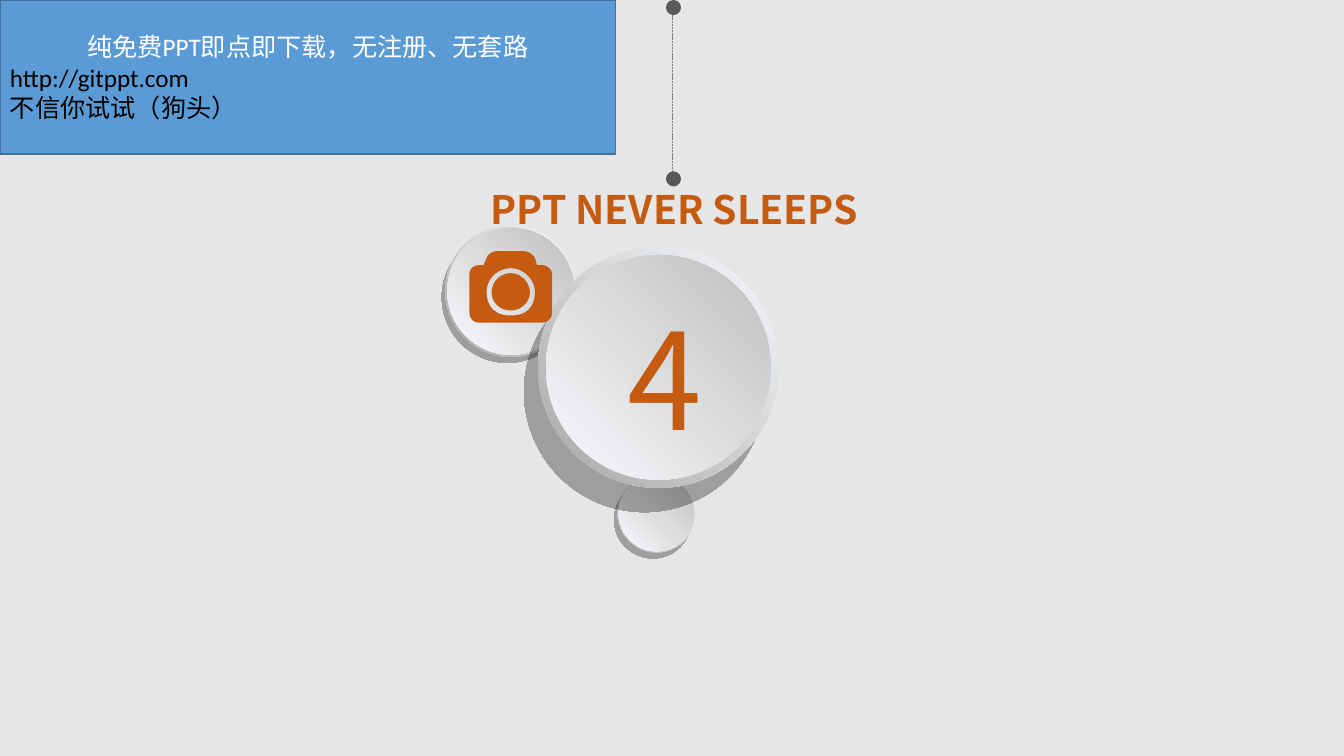
"""Build the section slide with three discs, a camera and a note box."""
from lxml import etree
from pptx import Presentation
from pptx import util as u
from pptx.dml.color import RGBColor
from pptx.enum import dml, shapes, text
from pptx.oxml.ns import qn

PX = 9144
SIZE = (1334, 750)
SANS, BODY = "Noto Sans CJK SC", "Calibri"
RUST, PALE, GREY, DOT, RULE = "C55A11", "F7FAFD", "E7E6E6", "595959", "7F7F7F"
TITLE = ("PPT NEVER SLEEPS", (477, 179, 397, 57))
NUMBER = ("4", (613, 289, 81, 170))
NOTE_BOX = (0, 0, 611, 153)
NOTE = [
    ("纯免费PPT即点即下载，无注册、无套路", "FFFFFF", text.PP_ALIGN.CENTER),
    ("http://gitppt.com", "000000", text.PP_ALIGN.LEFT),
    ("不信你试试（狗头）", "000000", text.PP_ALIGN.LEFT),
]
DISCS = {
    "camera": (442, 224, 130, 2, 5),
    "small": (613, 471, 77, 1, 5),
    "large": (534, 245, 239, 8, 20),
}
CORD = (667, 4, 667, 174)
DOTS = [(661, 0, 15, 15), (661, 170, 15, 15)]
CASE = [
    [(539, 320)],
    [(508, 320)],
    [(505, 320)],
    [(475, 320)],
    [(470, 320), (466, 316), (466, 311)],
    [(466, 271)],
    [(466, 267), (470, 263), (475, 263)],
    [(480, 263)],
    [(483, 256)],
    [(484, 252), (489, 249), (494, 249)],
    [(519, 249)],
    [(524, 249), (529, 252), (531, 256)],
    [(533, 263)],
    [(539, 263)],
    [(543, 263), (548, 267), (548, 272)],
    [(548, 311)],
    [(548, 316), (543, 320), (539, 320)],
]
RIM = [
    [(507, 266)],
    [(489, 267), (483, 281), (483, 289)],
    [(483, 297), (485, 313), (507, 313)],
    [(529, 313), (531, 297), (531, 289)],
    [(531, 281), (524, 267), (507, 266)],
]
LENS = [
    [(507, 308)],
    [(496, 308), (488, 300), (488, 290)],
    [(488, 280), (496, 271), (507, 271)],
    [(517, 271), (526, 280), (526, 290)],
    [(526, 300), (517, 308), (507, 308)],
]


def px(*nums):
    return [u.Emu(n * PX) for n in nums]


def rgb(code):
    return RGBColor.from_string(code)


def paint(fill, code):
    fill.solid()
    fill.fore_color.rgb = rgb(code)


def style(para, face, size, code, bold=False):
    for run in para.runs:
        font = run.font
        font.name, font.size, font.bold = face, u.Pt(size), bold
        font.color.rgb = rgb(code)


def label(shape, words, size, bold, wrap, align):
    frame = shape.text_frame
    frame.text = words
    frame.word_wrap = wrap
    frame.auto_size = text.MSO_AUTO_SIZE.SHAPE_TO_FIT_TEXT
    frame.vertical_anchor = text.MSO_ANCHOR.TOP
    frame.paragraphs[0].alignment = align
    style(frame.paragraphs[0], SANS, size, RUST, bold)


def oval(group, box):
    shape = group.shapes.add_shape(shapes.MSO_SHAPE.OVAL, *px(*box))
    shape.shadow.inherit = False
    shape.line.fill.background()
    return shape


def shade(shape, dist):
    node = shape.element.spPr.find(qn("a:effectLst"))
    cast = etree.SubElement(node, qn("a:outerShdw"), blurRad="0", dist=str(u.Pt(dist)),
                            dir=str(120 * 60000), algn="ctr", rotWithShape="0")
    tint = etree.SubElement(cast, qn("a:srgbClr"), val="000000")
    etree.SubElement(tint, qn("a:alpha"), val="31000")


def disc(slide, left, top, size, rim, dist):
    group = slide.shapes.add_group_shape()
    for inset, dark, angle in ((0, "A6A6A6", 225), (rim, "BFBFBF", 45)):
        side = size - 2 * inset
        shape = oval(group, (left + inset, top + inset, side, side))
        shape.fill.gradient()
        shape.fill.gradient_angle = angle
        for stop, code, place in zip(shape.fill.gradient_stops, (PALE, dark), (0, 1)):
            stop.color.rgb, stop.position = rgb(code), place
        if not inset:
            shade(shape, dist)
    return group


def hanger(slide):
    group = slide.shapes.add_group_shape()
    cord = group.shapes.add_connector(shapes.MSO_CONNECTOR.STRAIGHT, *px(*CORD))
    cord.line.color.rgb = rgb(RULE)
    cord.line.width = u.Pt(0.5)
    cord.line.dash_style = dml.MSO_LINE.SQUARE_DOT
    etree.SubElement(cord.element.spPr, qn("a:effectLst"))
    for box in DOTS:
        paint(oval(group, box).fill, DOT)


def curve(shape):
    lines = list(shape.element.iter(qn("a:lnTo")))
    for i in range(0, len(lines), 3):
        bend = etree.Element(qn("a:cubicBezTo"))
        lines[i].addprevious(bend)
        for line in lines[i:i + 3]:
            bend.append(line[0])
            line.getparent().remove(line)


def camera(slide):
    pen = slide.shapes.build_freeform(*px(*CASE[0][0]))
    for loop in (CASE, RIM, LENS):
        if loop is not CASE:
            pen.move_to(*px(*loop[0][0]))
        spots = [p for part in loop[1:] for p in part * (3 // len(part))]
        pen.add_line_segments([px(*p) for p in spots], close=True)
    shape = pen.convert_to_shape()
    curve(shape)
    shape.shadow.inherit = False
    paint(shape.fill, RUST)
    shape.line.fill.background()


def note(slide):
    shape = slide.shapes.add_shape(shapes.MSO_SHAPE.RECTANGLE, *px(*NOTE_BOX))
    shape.shadow.inherit = False
    paint(shape.fill, "5B9BD5")
    shape.line.color.rgb = rgb("41719C")
    shape.line.width = u.Pt(1)
    frame = shape.text_frame
    frame.word_wrap = True
    frame.vertical_anchor = text.MSO_ANCHOR.MIDDLE
    frame.text = "\n".join(row[0] for row in NOTE)
    for para, (_, code, align) in zip(frame.paragraphs, NOTE):
        para.alignment = align
        style(para, BODY, 18, code)


def main():
    deck = Presentation()
    deck.slide_width, deck.slide_height = px(*SIZE)
    slide = deck.slides.add_slide(deck.slide_layouts[5])
    paint(slide.background.fill, GREY)
    head = slide.shapes.title
    head.left, head.top, head.width, head.height = px(*TITLE[1])
    label(head, TITLE[0], 28, True, False, text.PP_ALIGN.LEFT)
    disc(slide, *DISCS["camera"])
    hanger(slide)
    disc(slide, *DISCS["small"])
    large = disc(slide, *DISCS["large"])
    count = large.shapes.add_textbox(*px(*NUMBER[1]))
    label(count, NUMBER[0], 96, False, True, text.PP_ALIGN.CENTER)
    camera(slide)
    note(slide)
    deck.save("out.pptx")


if __name__ == "__main__":
    main()
